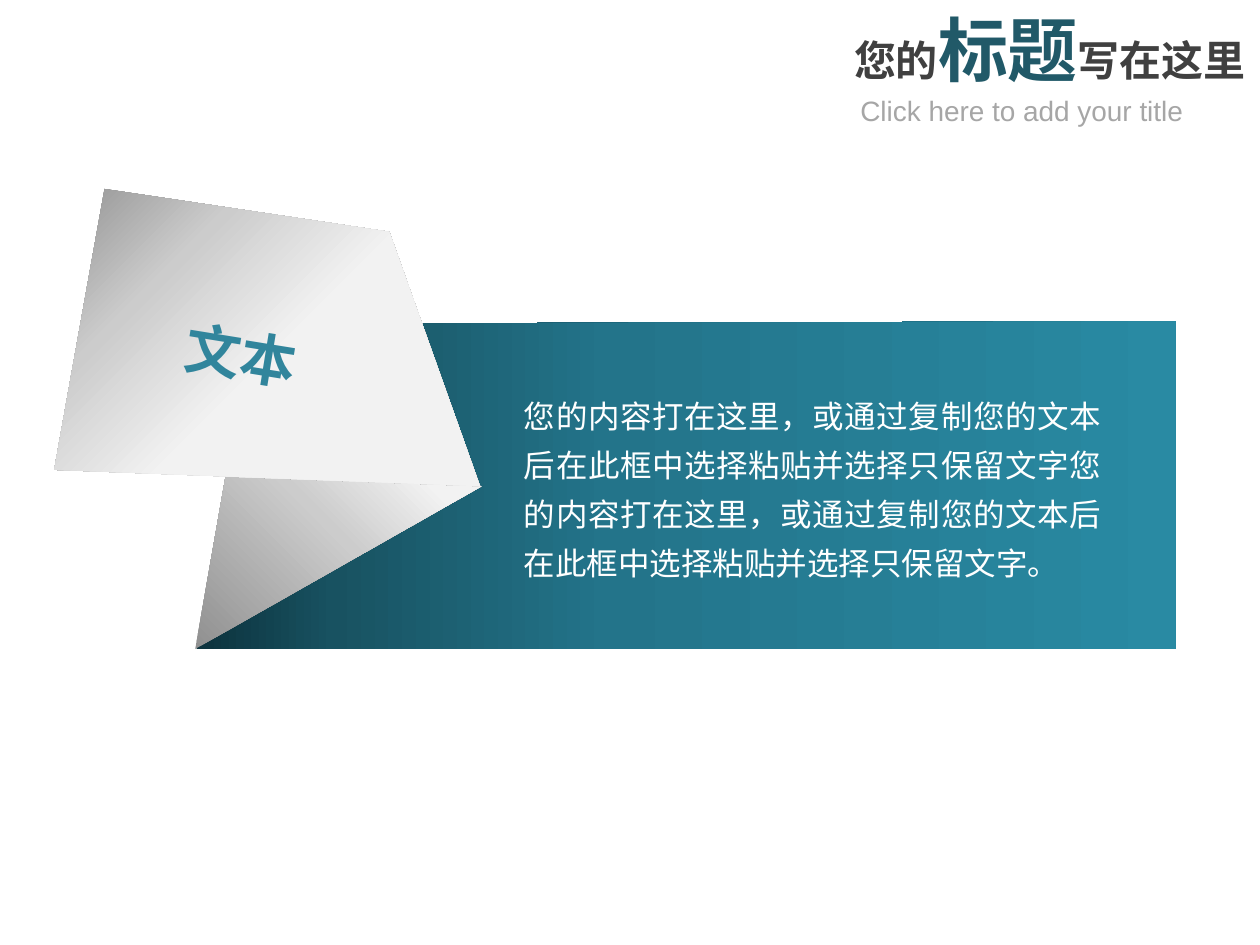
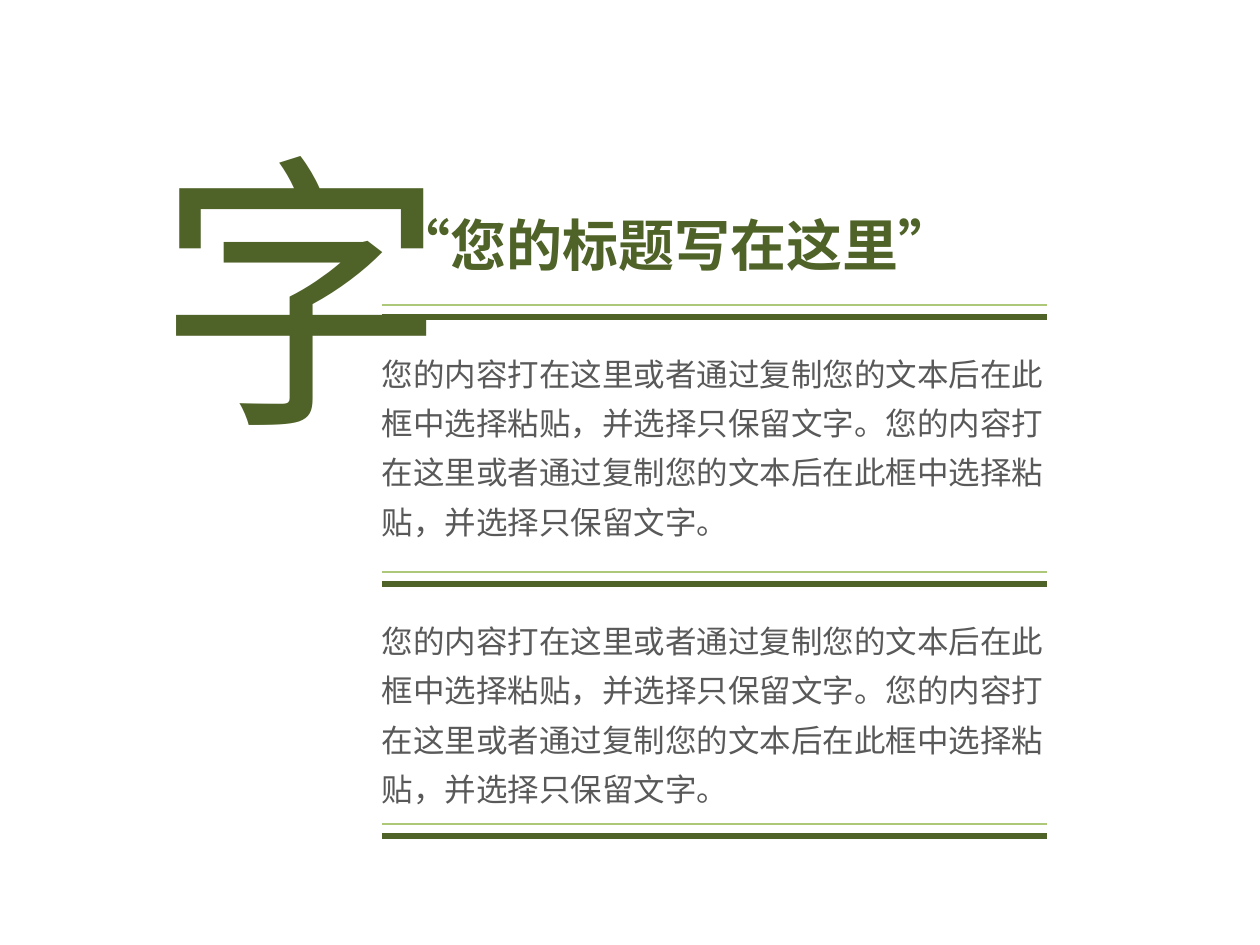
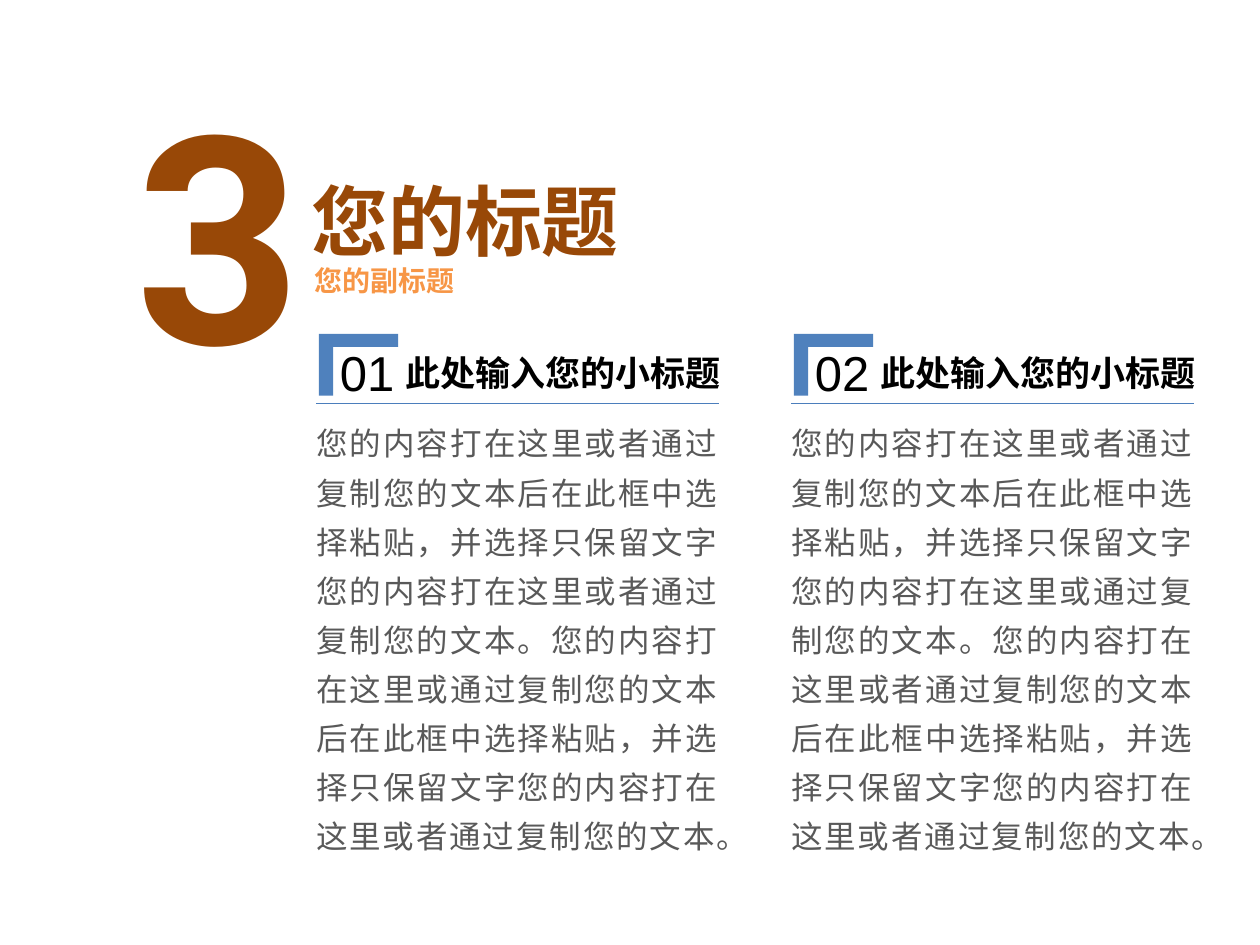
import dataclasses

import pptx
import pptx.dml.color
import pptx.enum.shapes
import pptx.enum.text
import pptx.oxml
import pptx.oxml.ns
import pptx.util

COLUMNS, ROWS = 100, 75
CELL = pptx.util.Inches(0.1)


@dataclasses.dataclass(frozen=True)
class Theme:
    cjk: str = "Noto Sans CJK SC"
    cjk_title: str = "Noto Sans CJK JP"
    latin: str = "Arial"
    label: str = "Montserrat"
    numeral: str = "Roboto"
    white: str = "FFFFFF"
    black: str = "000000"
    charcoal: str = "404040"
    body: str = "595959"
    hint: str = "A6A6A6"
    teal: str = "31859C"
    dark_teal: str = "215968"
    green: str = "4F6228"
    light_green: str = "AEC87A"
    brown: str = "984807"
    orange: str = "F79646"
    blue: str = "4F81BD"
    rule_blue: str = "4B7EBC"
    banner_stops: tuple = ((1, "0D343F"), (14, "185261"), (42, "23748A"), (100, "298AA3"))
    fold_stops: tuple = ((0, "909090"), (50, "CCCCCC"), (78, "F2F2F2"))
    card_stops: tuple = ((0, "909090"), (27, "CCCCCC"), (54, "F2F2F2"))
    giant_size: int = 166
    numbered_title_size: int = 44
    emphasis_size: int = 40
    heading_size: int = 32
    number_size: int = 28
    title_size: int = 24
    subheading_size: int = 20
    body_size: int = 18
    caption_size: int = 16
    body_spacing: float = 1.3


THEME = Theme()


@dataclasses.dataclass(frozen=True)
class Span:
    text: str
    size: int
    color: str
    font: str = THEME.cjk
    bold: bool = False


def grid(*cells):
    return [round(cell * CELL) for cell in cells]


def rgb(color):
    return pptx.dml.color.RGBColor.from_string(color)


def add_text(page, frame, spans, align=None, spacing=None, wrap=True, rotation=0):
    box = page.shapes.add_textbox(*grid(*frame))
    box.rotation = rotation
    box.text_frame.word_wrap = wrap
    box.text_frame.auto_size = pptx.enum.text.MSO_AUTO_SIZE.SHAPE_TO_FIT_TEXT
    para = box.text_frame.paragraphs[0]
    para.alignment = align
    para.line_spacing = spacing
    for span in spans:
        run = para.add_run()
        run.text = span.text
        run.font.size = pptx.util.Pt(span.size)
        run.font.bold = span.bold
        run.font.color.rgb = rgb(span.color)
        run.font.name = span.font
        east_asian = pptx.oxml.parse_xml(
            f'<a:ea {pptx.oxml.ns.nsdecls("a")} typeface="{span.font}"/>')
        run.font._element.find(pptx.oxml.ns.qn("a:latin")).addnext(east_asian)


def add_body(page, frame, text, color=THEME.body, justified=False):
    align = pptx.enum.text.PP_ALIGN.JUSTIFY if justified else None
    add_text(page, frame, [Span(text, THEME.body_size, color)], align, THEME.body_spacing)


def add_gradient_outline(page, points, stops, angle):
    start, *rest = [grid(*point) for point in points]
    builder = page.shapes.build_freeform(*start)
    builder.add_line_segments(rest, close=True)
    shape = builder.convert_to_shape()
    shape.shadow.inherit = False
    shape.line.fill.background()
    shape.fill.gradient()
    shape.fill.gradient_angle = angle
    stop_list = shape._element.spPr.find(".//" + pptx.oxml.ns.qn("a:gsLst"))
    for stop in list(stop_list):
        stop_list.remove(stop)
    for position, color in stops:
        stop_list.append(pptx.oxml.parse_xml(
            f'<a:gs {pptx.oxml.ns.nsdecls("a")} pos="{position * 1000}">'
            f'<a:srgbClr val="{color}"/></a:gs>'))


def add_rule(page, left, right, row, color, width):
    start_x, end_x, y = grid(left, right, row)
    rule = page.shapes.add_connector(
        pptx.enum.shapes.MSO_CONNECTOR.STRAIGHT, start_x, y, end_x, y)
    rule.line.color.rgb = rgb(color)
    rule.line.width = pptx.util.Pt(width)
    rule._element.spPr.append(
        pptx.oxml.parse_xml(f'<a:effectLst {pptx.oxml.ns.nsdecls("a")}/>'))


def add_double_rule(page, row):
    add_rule(page, 30.3, 83.1, row, THEME.light_green, 1.5)
    add_rule(page, 30.3, 83.1, row + 0.95, THEME.green, 3)


def add_corner(page, frame):
    corner = page.shapes.add_shape(pptx.enum.shapes.MSO_SHAPE.CORNER, *grid(*frame))
    corner.adjustments[0] = 0.23
    corner.adjustments[1] = 0.21
    corner.rotation = 90
    corner.shadow.inherit = False
    corner.fill.solid()
    corner.fill.fore_color.rgb = rgb(THEME.blue)
    corner.line.fill.background()


def add_numbered_column(page, left, number, text):
    add_body(page, (left, 32.3, 33.8, 36.1), text, justified=True)
    add_corner(page, (left + 1.9, 25.8, 4.9, 6.3))
    add_text(page, (left + 1.9, 26.7, 6.4, 5.7),
             [Span(f"{number:02d}", THEME.number_size, THEME.black, THEME.latin)], wrap=False)
    add_text(page, (left + 7.1, 27.4, 27.3, 4.4),
             [Span("此处输入您的小标题", THEME.subheading_size, THEME.black, bold=True)],
             wrap=False)
    add_rule(page, left + 1, left + 33, 32, THEME.rule_blue, 0.75)


def build_banner_page(page):
    add_gradient_outline(
        page, [(21.5, 25.7), (93.3, 25.5), (93.3, 51.5), (15.6, 51.5)],
        THEME.banner_stops, 0)
    add_gradient_outline(
        page, [(38.2, 38.6), (18.7, 33.3), (15.5, 51.5)], THEME.fold_stops, 45)
    add_gradient_outline(
        page, [(30.9, 18.4), (38.1, 38.6), (4.3, 37.3), (8.3, 15)],
        THEME.card_stops, 315)
    add_body(page, (40.6, 30.1, 47.8, 16.8),
             "您的内容打在这里，或通过复制您的文本后在此框中选择粘贴并选择只保留文字"
             "您的内容打在这里，或通过复制您的文本后在此框中选择粘贴并选择只保留文字。",
             THEME.white, justified=True)
    add_text(page, (67.3, 6.9, 29.2, 3.7),
             [Span("Click here to add your title", THEME.caption_size, THEME.hint, THEME.latin)])
    add_text(page, (66.8, 0, 34.4, 7.7), [
        Span("您的", THEME.title_size, THEME.charcoal, THEME.cjk_title, True),
        Span("标题", THEME.emphasis_size, THEME.dark_teal, THEME.cjk_title, True),
        Span("写在这里", THEME.title_size, THEME.charcoal, THEME.cjk_title, True)])
    add_text(page, (13.7, 25, 11.6, 6.4),
             [Span("文本", THEME.heading_size, THEME.teal, THEME.label, True)], rotation=9.2)


def build_quote_page(page):
    add_text(page, (30.3, 16.2, 49.7, 6.4),
             [Span("“您的标题写在这里”", THEME.heading_size, THEME.green, bold=True)])
    add_text(page, (11.4, 8.4, 22, 28.9), [Span("字", THEME.giant_size, THEME.green)])
    sentence = "您的内容打在这里或者通过复制您的文本后在此框中选择粘贴，并选择只保留文字。"
    for row in (24.2, 45.4):
        add_double_rule(page, row)
        add_body(page, (29.3, row + 2.6, 56.1, 16.8), sentence * 2)
    add_double_rule(page, 65.4)


def build_numbered_page(page):
    add_text(page, (9.8, 3.8, 9.6, 28.9),
             [Span("3", THEME.giant_size, THEME.brown, THEME.numeral, True)])
    add_text(page, (23.7, 13.3, 34.9, 8.4),
             [Span("您的标题", THEME.numbered_title_size, THEME.brown, bold=True)])
    add_text(page, (24, 20.4, 23.6, 3.7),
             [Span("您的副标题", THEME.caption_size, THEME.orange, bold=True)])
    texts = (
        "您的内容打在这里或者通过复制您的文本后在此框中选择粘贴，并选择只保留文字"
        "您的内容打在这里或者通过复制您的文本。"
        "您的内容打在这里或通过复制您的文本后在此框中选择粘贴，并选择只保留文字"
        "您的内容打在这里或者通过复制您的文本。",
        "您的内容打在这里或者通过复制您的文本后在此框中选择粘贴，并选择只保留文字"
        "您的内容打在这里或通过复制您的文本。"
        "您的内容打在这里或者通过复制您的文本后在此框中选择粘贴，并选择只保留文字"
        "您的内容打在这里或者通过复制您的文本。",
    )
    for index, text in enumerate(texts):
        add_numbered_column(page, 24.1 + 37.7 * index, index + 1, text)


def main():
    deck = pptx.Presentation()
    deck.slide_width, deck.slide_height = grid(COLUMNS, ROWS)
    for build in (build_banner_page, build_quote_page, build_numbered_page):
        build(deck.slides.add_slide(deck.slide_layouts[6]))
    deck.save("out.pptx")


if __name__ == "__main__":
    main()
